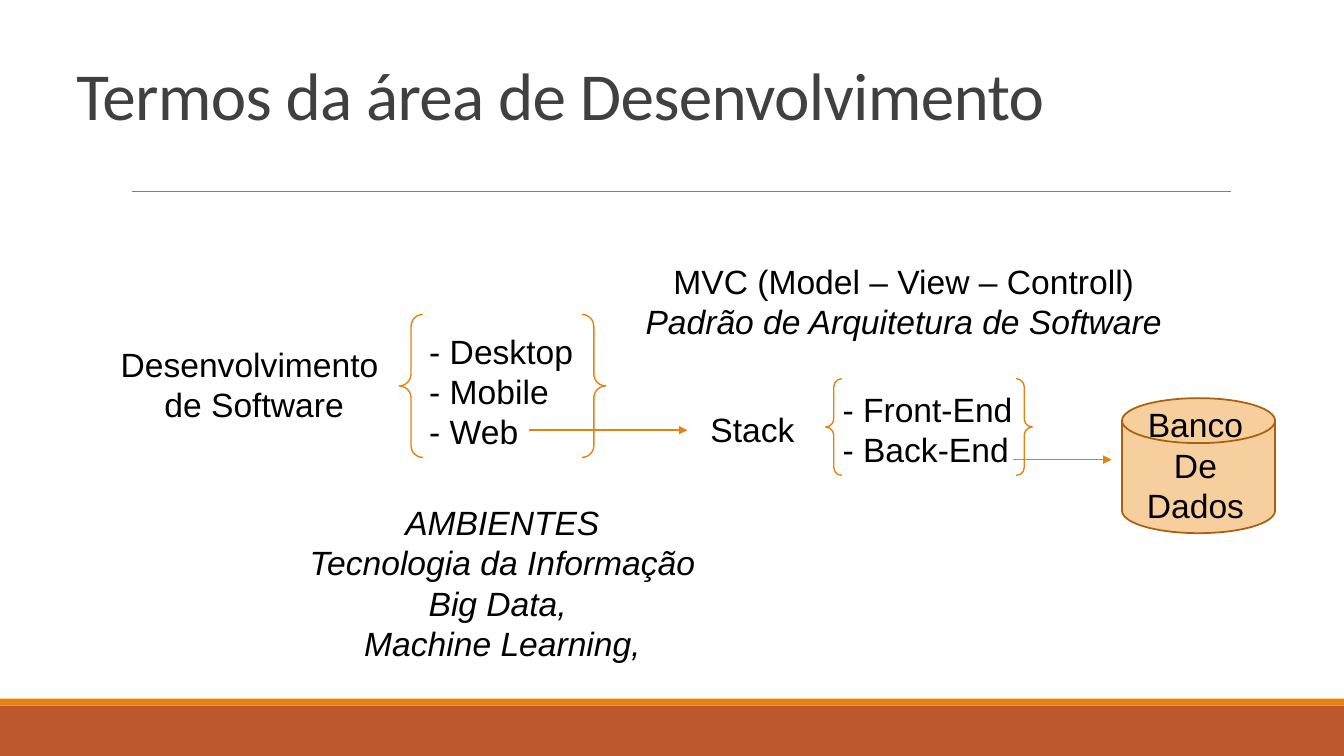
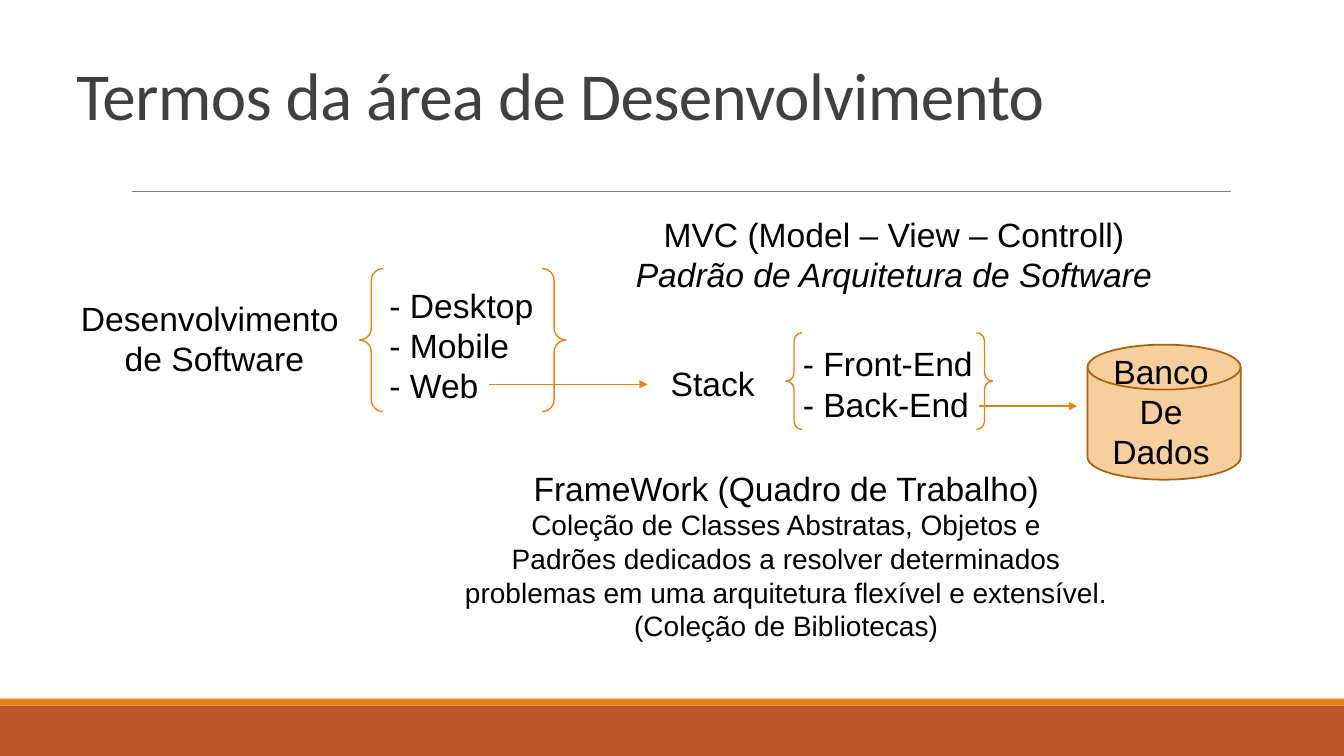
from dataclasses import dataclass
from typing import NamedTuple

import lxml.etree
import pptx
import pptx.dml.color
import pptx.enum.shapes
import pptx.enum.text
import pptx.oxml.ns
import pptx.util

Pt = pptx.util.Pt
SHAPE = pptx.enum.shapes.MSO_SHAPE
ALIGN = pptx.enum.text.PP_ALIGN

COLORS = {
    "rust": "BD582C",
    "orange": "E48312",
    "rule": "808080",
    "title": "404040",
    "text": "000000",
    "disk": "F7CE9D",
    "disk_edge": "A9610D",
}
TITLE = "Termos da área de Desenvolvimento"


class Shift(NamedTuple):
    x: float
    y: float


class Box(NamedTuple):
    left: float
    top: float
    width: float
    height: float

    def moved(self, shift: Shift) -> "Box":
        return self._replace(left=self.left + shift.x, top=self.top + shift.y)

    def lengths(self) -> list:
        return [Pt(value) for value in self]


class Line(NamedTuple):
    text: str
    size: float = 24
    italic: bool = False


@dataclass(frozen=True)
class Label:
    box: Box
    lines: tuple[Line, ...]
    centered: bool = True


@dataclass(frozen=True)
class Arrow:
    left: float
    right: float
    y: float


@dataclass(frozen=True)
class Diagram:
    chain_shift: Shift
    database_shift: Shift
    pattern_shift: Shift
    note: Label


# Parts of the diagram
CHAIN_LABELS = (
    Label(Box(77.8, 242, 207.4, 65.5),
          (Line("Desenvolvimento "), Line("de Software"))),
    Label(Box(299.5, 232.6, 118, 94.3),
          (Line("- Desktop"), Line("- Mobile"), Line("- Web")), centered=False),
    Label(Box(500.4, 288.7, 75, 36), (Line("Stack"),), centered=False),
    Label(Box(594.8, 274.3, 136.8, 65.5),
          (Line("- Front-End"), Line("- Back-End")), centered=False),
)
CHAIN_BRACES = (Box(285.1, 224.6, 147.6, 102.2), Box(589.8, 270.5, 147.6, 69.1))
WEB_ARROW = Arrow(378, 491, 307.3)
DATABASE_ARROW = Arrow(723.6, 794, 328.3)
DATABASE_DISK = Box(801.4, 284.4, 109.4, 96.5)
DATABASE_LABEL = Label(Box(811.4, 285.1, 85, 94.3),
                       (Line("Banco"), Line("De"), Line("Dados")))
PATTERN_LABEL = Label(
    Box(452.2, 182.9, 386.6, 65.5),
    (Line("MVC (Model – View – Controll)"),
     Line("Padrão de Arquitetura de Software", italic=True)),
)

ENVIRONMENTS = Label(
    Box(212.4, 355, 293, 123.8),
    tuple(Line(text, italic=True) for text in (
        "AMBIENTES", "Tecnologia da Informação", "Big Data, ", "Machine Learning,")),
)
FRAMEWORK = Label(
    Box(323.3, 330.5, 476.6, 133.2),
    (Line("FrameWork (Quadro de Trabalho)"),
     Line("Coleção de Classes Abstratas, Objetos e", 20),
     Line("Padrões dedicados a resolver determinados", 20),
     Line("problemas em uma arquitetura flexível e extensível.", 20),
     Line("(Coleção de Bibliotecas)", 20)),
)
DIAGRAMS = (
    Diagram(Shift(0, 0), Shift(0, 0), Shift(0, 0), ENVIRONMENTS),
    Diagram(Shift(-28.4, -32.8), Shift(-24.6, -38.2), Shift(-7, -33.8), FRAMEWORK),
)


# Drawing functions
def rgb(name: str) -> pptx.dml.color.RGBColor:
    return pptx.dml.color.RGBColor.from_string(COLORS[name])


def add_outline(slide, kind, box: Box, fill: str | None = None,
                edge: str | None = None, weight: float = 1) -> None:
    outline = slide.shapes.add_shape(kind, *box.lengths())
    outline.shadow.inherit = False
    if fill:
        outline.fill.solid()
        outline.fill.fore_color.rgb = rgb(fill)
    else:
        outline.fill.background()
    if edge:
        outline.line.color.rgb = rgb(edge)
        outline.line.width = Pt(weight)
    else:
        outline.line.fill.background()


def add_rule(slide, span: Arrow, color: str, weight: float, head: bool = False) -> None:
    rule = slide.shapes.add_connector(
        pptx.enum.shapes.MSO_CONNECTOR.STRAIGHT,
        Pt(span.left), Pt(span.y), Pt(span.right), Pt(span.y))
    rule.line.color.rgb = rgb(color)
    rule.line.width = Pt(weight)
    if head:
        lxml.etree.SubElement(rule.line._get_or_add_ln(),
                              pptx.oxml.ns.qn("a:tailEnd"), type="triangle")
    lxml.etree.SubElement(rule._element.spPr, pptx.oxml.ns.qn("a:effectLst"))


def add_run(paragraph, line: Line, font: str, color: str):
    run = paragraph.add_run()
    run.text = line.text
    run.font.name = font
    run.font.size = Pt(line.size)
    run.font.italic = line.italic
    run.font.color.rgb = rgb(color)
    return run


def add_label(slide, label: Label, shift: Shift = Shift(0, 0)) -> None:
    frame = slide.shapes.add_textbox(*label.box.moved(shift).lengths()).text_frame
    frame.word_wrap = False
    frame.auto_size = pptx.enum.text.MSO_AUTO_SIZE.SHAPE_TO_FIT_TEXT
    for index, line in enumerate(label.lines):
        paragraph = frame.add_paragraph() if index else frame.paragraphs[0]
        paragraph.alignment = ALIGN.CENTER if label.centered else ALIGN.LEFT
        add_run(paragraph, line, "Arial", "text")


def add_arrow(slide, arrow: Arrow, shift: Shift) -> None:
    moved = Arrow(arrow.left + shift.x, arrow.right + shift.x, arrow.y + shift.y)
    add_rule(slide, moved, "orange", 1, head=True)


def add_frame(slide) -> None:
    # Footer bands, rule and title
    add_outline(slide, SHAPE.RECTANGLE, Box(0, 504, 960, 36), "rust")
    add_outline(slide, SHAPE.RECTANGLE, Box(0, 499, 960, 5), "orange")
    add_rule(slide, Arrow(94.3, 879.1, 136.8), "rule", 0.5)
    heading = slide.shapes.add_textbox(*Box(47.5, 9.4, 864, 90).lengths()).text_frame
    heading.word_wrap = True
    heading.vertical_anchor = pptx.enum.text.MSO_ANCHOR.BOTTOM
    paragraph = heading.paragraphs[0]
    paragraph.line_spacing = 0.85
    title = add_run(paragraph, Line(TITLE, 48), "Calibri", "title")
    title.font._element.set("spc", "-50")


def add_diagram(slide, diagram: Diagram) -> None:
    add_label(slide, PATTERN_LABEL, diagram.pattern_shift)
    # Development chain
    for label in CHAIN_LABELS:
        add_label(slide, label, diagram.chain_shift)
    for brace in CHAIN_BRACES:
        add_outline(slide, SHAPE.DOUBLE_BRACE, brace.moved(diagram.chain_shift),
                    edge="orange")
    add_arrow(slide, WEB_ARROW, diagram.chain_shift)
    add_label(slide, diagram.note)
    # Database
    add_outline(slide, SHAPE.FLOWCHART_MAGNETIC_DISK,
                DATABASE_DISK.moved(diagram.database_shift),
                "disk", "disk_edge", 1.25)
    add_label(slide, DATABASE_LABEL, diagram.database_shift)
    add_arrow(slide, DATABASE_ARROW, diagram.database_shift)


# Presentation
deck = pptx.Presentation()
deck.slide_width, deck.slide_height = Pt(960), Pt(540)
blank_layout = deck.slide_layouts[6]
for terms in DIAGRAMS:
    terms_slide = deck.slides.add_slide(blank_layout)
    add_frame(terms_slide)
    add_diagram(terms_slide, terms)
deck.save("out.pptx")
